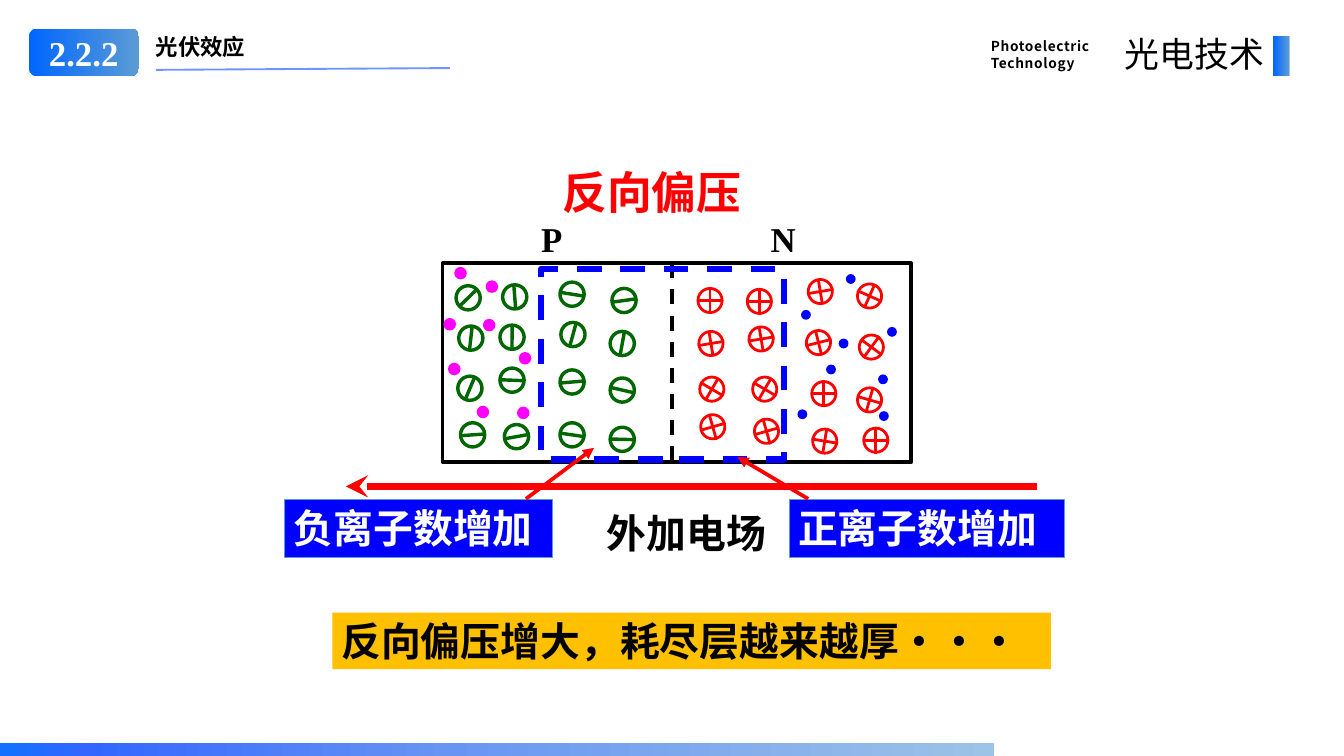
from math import cos, radians, sin

from lxml import etree
from pptx import Presentation
from pptx.dml.color import RGBColor
from pptx.enum.dml import MSO_LINE
from pptx.enum.shapes import MSO_CONNECTOR, MSO_SHAPE
from pptx.enum.text import MSO_ANCHOR, MSO_AUTO_SIZE, PP_ALIGN
from pptx.oxml.ns import qn
from pptx.util import Inches, Pt

STRAIGHT = MSO_CONNECTOR.STRAIGHT
RECTANGLE, ROUNDED, OVAL = MSO_SHAPE.RECTANGLE, MSO_SHAPE.ROUNDED_RECTANGLE, MSO_SHAPE.OVAL
DASH = MSO_LINE.DASH
LEFT, CENTER, RIGHT, JUSTIFY = PP_ALIGN.LEFT, PP_ALIGN.CENTER, PP_ALIGN.RIGHT, PP_ALIGN.JUSTIFY
TOP, MIDDLE = MSO_ANCHOR.TOP, MSO_ANCHOR.MIDDLE
GROW = MSO_AUTO_SIZE.SHAPE_TO_FIT_TEXT

SANS, SANS_JP, SERIF = "Noto Sans CJK SC", "Noto Sans CJK JP", "Times New Roman"
COLORS = {
    "black": "000000", "white": "FFFFFF", "red": "FF0000", "blue": "0000FF",
    "green": "006600", "magenta": "FF00FF", "amber": "FFC000", "edge": "5B9BD5",
    "underline": "3366FF",
}
BADGE_STOPS = [(0, "0066FF"), (100, "5B9BD5")]
FOOTER_STOPS = [(0, "1271FE"), (9, "3366FF"), (45, "6895F3"), (100, "9DC3E6")]

ION_SIZE = 0.27
# Left, top and rotation of each ion
NEGATIVE_IONS = [
    (5.09, 3.19, 315.7), (5.12, 3.64, 276.4), (5.11, 4.2, 292.8), (5.14, 4.72, 356),
    (5.61, 3.18, 265.6), (5.58, 3.63, 270.5), (5.58, 4.11, 2.3), (5.63, 4.74, 349.7),
    (6.25, 3.15, 9.1), (6.26, 3.6, 285.4), (6.25, 4.13, 355.1), (6.25, 4.72, 8.3),
    (6.83, 3.22, 352.2), (6.81, 3.7, 280.4), (6.81, 4.22, 12.9), (6.81, 4.77, 1.5),
]
POSITIVE_IONS = [
    (7.79, 3.22, 0), (7.8, 3.7, 80.5), (7.81, 4.21, 300.4), (7.82, 4.63, 164.2),
    (8.34, 3.23, 0), (8.36, 3.65, 80.5), (8.4, 4.21, 300.4), (8.42, 4.68, 164.2),
    (9.02, 3.12, 260.5), (9, 3.69, 76.1), (9.06, 4.26, 0), (9.07, 4.79, 279.2),
    (9.57, 3.17, 293.9), (9.59, 3.74, 36.5), (9.57, 4.33, 15.9), (9.64, 4.78, 0),
]
HOLES = [(5.07, 2.98), (4.95, 3.55), (5, 4.05), (5.32, 4.53),
         (5.42, 3.13), (5.39, 3.56), (5.79, 3.93), (5.77, 4.54)]
ELECTRONS = [(9.44, 3.06), (9.36, 3.78), (9.9, 3.65), (8.94, 3.46),
             (9.22, 4.07), (9.8, 4.18), (8.9, 4.57), (9.81, 4.59)]


def rgb(name):
    return RGBColor.from_string(COLORS[name])


def set_line(line, color, width, dash=None):
    line.color.rgb = rgb(color)
    line.width = Pt(width)
    if dash:
        line.dash_style = dash


def add_box(shapes, box, fill=None, line=None, kind=RECTANGLE):
    """Add a preset shape; line is (color, width[, dash])."""
    shape = shapes.add_shape(kind, *map(Inches, box))
    shape.shadow.inherit = False
    if fill:
        shape.fill.solid()
        shape.fill.fore_color.rgb = rgb(fill)
    else:
        shape.fill.background()
    if line:
        set_line(shape.line, *line)
    else:
        shape.line.fill.background()
    return shape


def add_gradient_box(shapes, box, stops, kind=RECTANGLE):
    shape = add_box(shapes, box, kind=kind)
    shape.fill.gradient()
    shape.fill.gradient_angle = 0
    stop_list = shape.fill._fill._gradFill.find(qn("a:gsLst"))
    for stop in list(stop_list):
        stop_list.remove(stop)
    for position, color in stops:
        stop = etree.SubElement(stop_list, qn("a:gs"), pos=str(position * 1000))
        etree.SubElement(stop, qn("a:srgbClr"), val=color)
    return shape


def add_line(shapes, start, end, color, width, dash=None, arrow=None):
    """Add a straight line; arrow is the type of the arrowhead at its end."""
    line = shapes.add_connector(STRAIGHT, *map(Inches, (*start, *end)))
    set_line(line.line, color, width, dash)
    etree.SubElement(line._element.spPr, qn("a:effectLst"))
    if arrow:
        etree.SubElement(line.line._get_or_add_ln(), qn("a:tailEnd"), type=arrow)
    return line


def write(shape, text, size, color="black", font=SANS, bold=True, align=LEFT,
          anchor=TOP, grow=True, spacing=None, line_height=None):
    frame = shape.text_frame
    frame.text = text
    frame.word_wrap = True
    frame.vertical_anchor = anchor
    if grow:
        frame.auto_size = GROW
    for paragraph in frame.paragraphs:
        paragraph.alignment = align
        if line_height:
            paragraph.line_spacing = Pt(line_height)
        for run in paragraph.runs:
            run.font.size = Pt(size)
            run.font.bold = bold
            run.font.color.rgb = rgb(color)
            run.font.name = font
            properties = run.font._element
            etree.SubElement(properties, qn("a:ea"), typeface=font)
            if spacing:
                properties.set("spc", str(round(spacing * 100)))


def add_text(shapes, box, text, size, **style):
    write(shapes.add_textbox(*map(Inches, box)), text, size, **style)


def add_ion(shapes, left, top, angle, color, width, strokes):
    """Add a circle with strokes through its centre, given as (turn, length)."""
    group = shapes.add_group_shape().shapes
    add_box(group, (left, top, ION_SIZE, ION_SIZE), "white", (color, width), OVAL)
    x, y = left + ION_SIZE / 2, top + ION_SIZE / 2
    for turn, length in strokes:
        direction = radians(angle + turn)
        dx, dy = cos(direction) * length / 2, sin(direction) * length / 2
        add_line(group, (x - dx, y - dy), (x + dx, y + dy), color, width)


def add_carriers(shapes, places, size, color):
    for left, top in places:
        add_box(shapes, (left, top, size, size), color, kind=OVAL)


def add_junction(shapes):
    add_box(shapes, (4.94, 2.94, 5.23, 2.22), "white", ("black", 3))
    add_line(shapes, (7.5, 2.94), (7.5, 5.16), "black", 3, DASH)
    add_carriers(shapes, HOLES, 0.14, "magenta")
    add_carriers(shapes, ELECTRONS, 0.11, "blue")
    for ion in NEGATIVE_IONS:
        add_ion(shapes, *ion, "green", 2.75, [(0, 0.27)])
    for ion in POSITIVE_IONS:
        add_ion(shapes, *ion, "red", 2.25, [(0, 0.27), (90, 0.3)])
    for left, letter in ((6.04, "P"), (8.6, "N")):
        label = add_box(shapes, (left, 2.43, 0.33, 0.47), "white")
        frame = label.text_frame
        frame.margin_left = frame.margin_right = frame.margin_top = frame.margin_bottom = 0
        write(label, letter, 28, font=SERIF, align=JUSTIFY, grow=False)
    add_box(shapes, (6.04, 3, 2.71, 2.13), line=("blue", 5, DASH))


def add_notes_on_bias(shapes):
    add_text(shapes, (5.98, 1.79, 2.59, 0.67), "反向偏压", 36, color="red",
             font=SANS_JP, align=CENTER, grow=False)
    add_line(shapes, (11.57, 5.43), (3.86, 5.43), "red", 6, arrow="stealth")
    add_text(shapes, (6.48, 5.63, 2.36, 0.63), "外加电场", 32, align=CENTER)
    summary = add_box(shapes, (3.71, 6.84, 8.02, 0.63), "amber")
    write(summary, "反向偏压增大，耗尽层越来越厚···", 32, anchor=MIDDLE)
    for left, width, text, start, end in (
        (3.18, 2.99, "负离子数增加", (5.87, 5.57), (6.63, 5)),
        (8.81, 3.07, "正离子数增加", (9.02, 5.57), (8.23, 5.1)),
    ):
        callout = add_box(shapes, (left, 5.58, width, 0.64), "blue", ("edge", 0.75))
        write(callout, text, 32, color="white")
        add_line(shapes, start, end, "red", 3, arrow="triangle")


def add_header_and_footer(shapes):
    add_text(shapes, (1.64, 0.32, 3.5, 0.4), "光伏效应", 18)
    add_text(shapes, (10.96, 0.36, 1.58, 0.49), "Photoelectric\nTechnology", 11,
             spacing=0.5, line_height=14)
    add_gradient_box(shapes, (14.21, 0.4, 0.18, 0.45), BADGE_STOPS)
    badge = add_gradient_box(shapes, (0.32, 0.32, 1.23, 0.53), BADGE_STOPS, ROUNDED)
    write(badge, "2.2.2", 28, color="white", font=SERIF, align=CENTER,
          anchor=MIDDLE, grow=False)
    underline = add_line(shapes, (1.74, 0.78), (5.02, 0.76), "underline", 1.5)
    color = underline._element.spPr.find(".//" + qn("a:srgbClr"))
    etree.SubElement(color, qn("a:alpha"), val="70000")
    add_text(shapes, (12.31, 0.32, 1.9, 0.57), "光电技术", 28, bold=False,
             align=RIGHT, spacing=0.2)
    add_gradient_box(shapes, (0, 8.3, 11.09, 0.14), FOOTER_STOPS)


def main():
    presentation = Presentation()
    presentation.slide_width, presentation.slide_height = Inches(15), Inches(8.44)
    slide = presentation.slides.add_slide(presentation.slide_layouts[6])
    add_junction(slide.shapes)
    add_notes_on_bias(slide.shapes)
    add_header_and_footer(slide.shapes)
    presentation.save("out.pptx")


if __name__ == "__main__":
    main()
